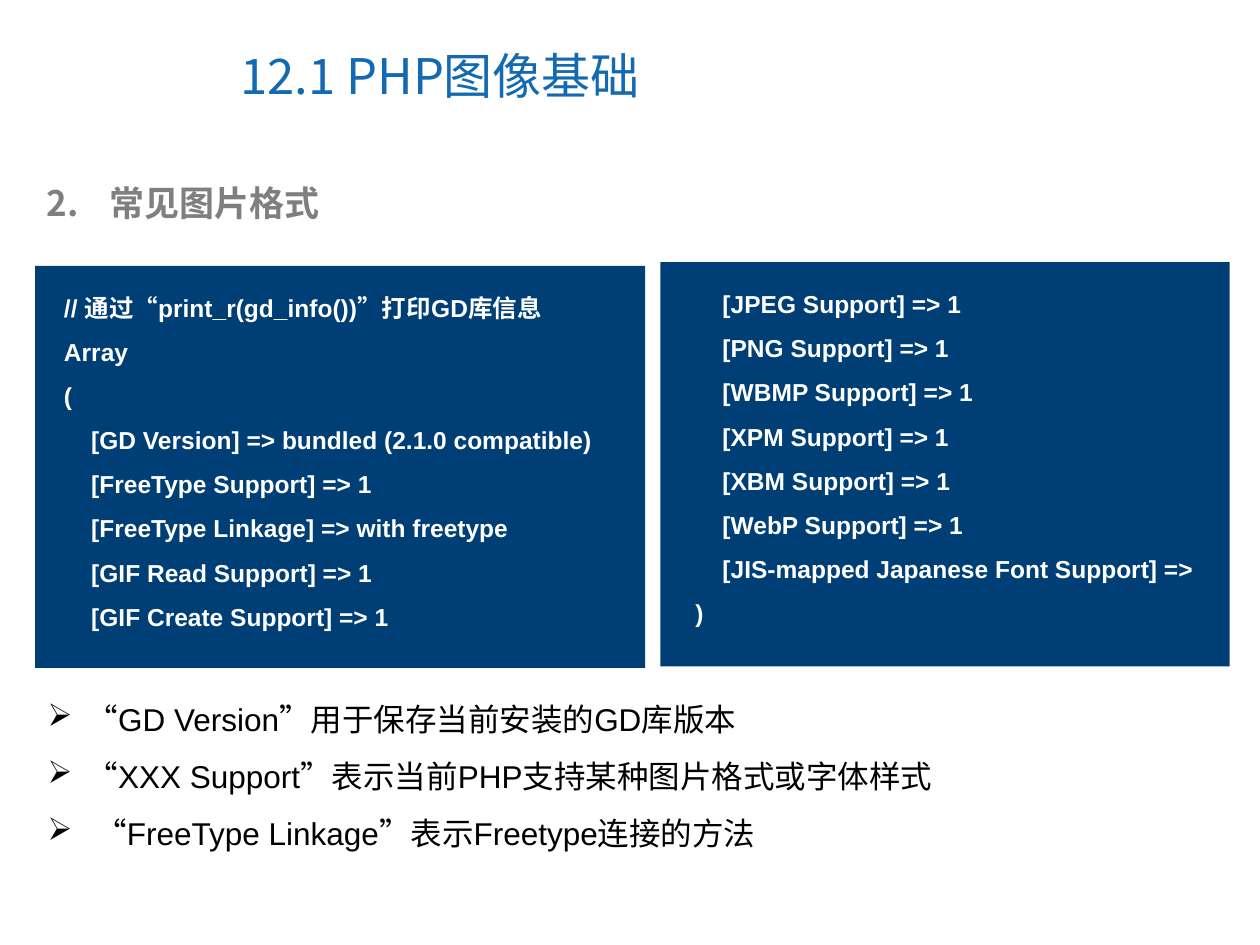
from lxml import etree
from pptx import Presentation
from pptx.dml.color import RGBColor
from pptx.enum.shapes import MSO_SHAPE
from pptx.enum.text import MSO_ANCHOR
from pptx.oxml.ns import qn
from pptx.util import Inches, Pt

RECTANGLE = MSO_SHAPE.RECTANGLE
TOP, MIDDLE = MSO_ANCHOR.TOP, MSO_ANCHOR.MIDDLE

COLORS = {
    "title": "1369B2",
    "heading": "7F7F7F",
    "panel": "003F75",
    "code": "FFFFFF",
    "body": "000000",
}
CJK_FONT = "Noto Sans CJK SC"
LATIN_FONT = "Arial"

LEFT_CODE = [
    "// 通过“print_r(gd_info())”打印GD库信息",
    "Array",
    "(",
    "    [GD Version] => bundled (2.1.0 compatible)",
    "    [FreeType Support] => 1",
    "    [FreeType Linkage] => with freetype",
    "    [GIF Read Support] => 1",
    "    [GIF Create Support] => 1",
]
RIGHT_CODE = [
    "    [JPEG Support] => 1",
    "    [PNG Support] => 1",
    "    [WBMP Support] => 1",
    "    [XPM Support] => 1",
    "    [XBM Support] => 1",
    "    [WebP Support] => 1",
    "    [JIS-mapped Japanese Font Support] =>",
    ")",
]
NOTES = [
    "“GD Version”用于保存当前安装的GD库版本",
    "“XXX Support”表示当前PHP支持某种图片格式或字体样式",
    " “FreeType Linkage”表示Freetype连接的方法",
]


class SlideBuilder:
    """Holds the colours, fonts and slide shared by all elements."""

    def __init__(self, slide):
        self.slide = slide

    def color(self, name):
        return RGBColor.from_string(COLORS[name])

    def text(self, box, lines, size, color, font=LATIN_FONT, bold=False,
             spacing=1.0, anchor=TOP, bullet=None, indent=0, shapes=None):
        """Add a text box; bullet is a (tag, attributes) pair."""
        shapes = shapes or self.slide.shapes
        text_frame = shapes.add_textbox(*map(Inches, box)).text_frame
        text_frame.word_wrap = True
        text_frame.vertical_anchor = anchor
        text_frame.text = "\n".join(lines)
        for paragraph in text_frame.paragraphs:
            if bullet:
                self.bullet(paragraph, bullet, indent)
            paragraph.line_spacing = spacing
            for run in paragraph.runs:
                run.font.size = Pt(size)
                run.font.bold = bold
                run.font.name = font
                run.font.color.rgb = self.color(color)
                east_asian = etree.SubElement(run.font._element, qn("a:ea"))
                east_asian.set("typeface", CJK_FONT)

    def bullet(self, paragraph, bullet, indent):
        tag, attributes = bullet
        properties = paragraph._p.get_or_add_pPr()
        properties.set("marL", str(Inches(indent)))
        properties.set("indent", str(-Inches(indent)))
        etree.SubElement(properties, qn(tag), attributes)

    def code_panel(self, panel_box, text_box, lines):
        group = self.slide.shapes.add_group_shape()
        panel = group.shapes.add_shape(RECTANGLE, *map(Inches, panel_box))
        panel.shadow.inherit = False
        panel.fill.solid()
        panel.fill.fore_color.rgb = self.color("panel")
        panel.line.fill.background()
        self.text(text_box, lines, 14, "code", bold=True, spacing=1.5,
                  shapes=group.shapes)


def main():
    presentation = Presentation()
    presentation.slide_width = Inches(10)
    presentation.slide_height = Inches(7.5)
    slide = presentation.slides.add_slide(presentation.slide_layouts[6])
    builder = SlideBuilder(slide)

    builder.text((1.81, 0.17, 5.16, 0.85), ["12.1 PHP图像基础"], 28, "title",
                 font=CJK_FONT, anchor=MIDDLE)
    builder.text((0.27, 1.39, 9.22, 0.44), ["常见图片格式"], 20, "heading",
                 font=CJK_FONT, bold=True, indent=0.5,
                 bullet=("a:buAutoNum", {"type": "arabicPeriod", "startAt": "2"}))
    builder.code_panel((0.28, 2.11, 4.84, 3.19), (0.41, 2.16, 4.66, 2.9), LEFT_CODE)
    builder.code_panel((5.24, 2.08, 4.52, 3.21), (5.42, 2.13, 4.34, 2.9), RIGHT_CODE)
    builder.text((0.28, 5.36, 9.49, 1.45), NOTES, 18, "body", spacing=1.5,
                 indent=0.31, bullet=("a:buChar", {"char": "➢"}))

    presentation.save("out.pptx")


if __name__ == "__main__":
    main()
